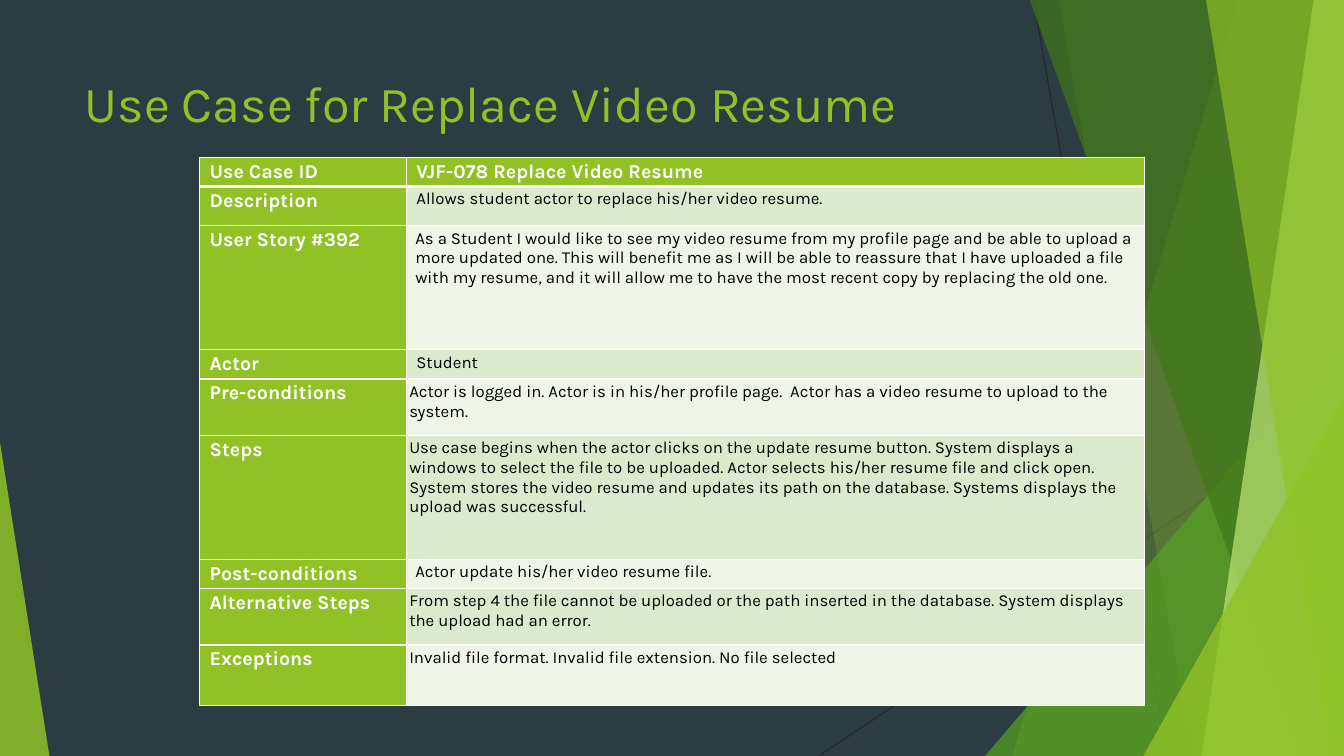
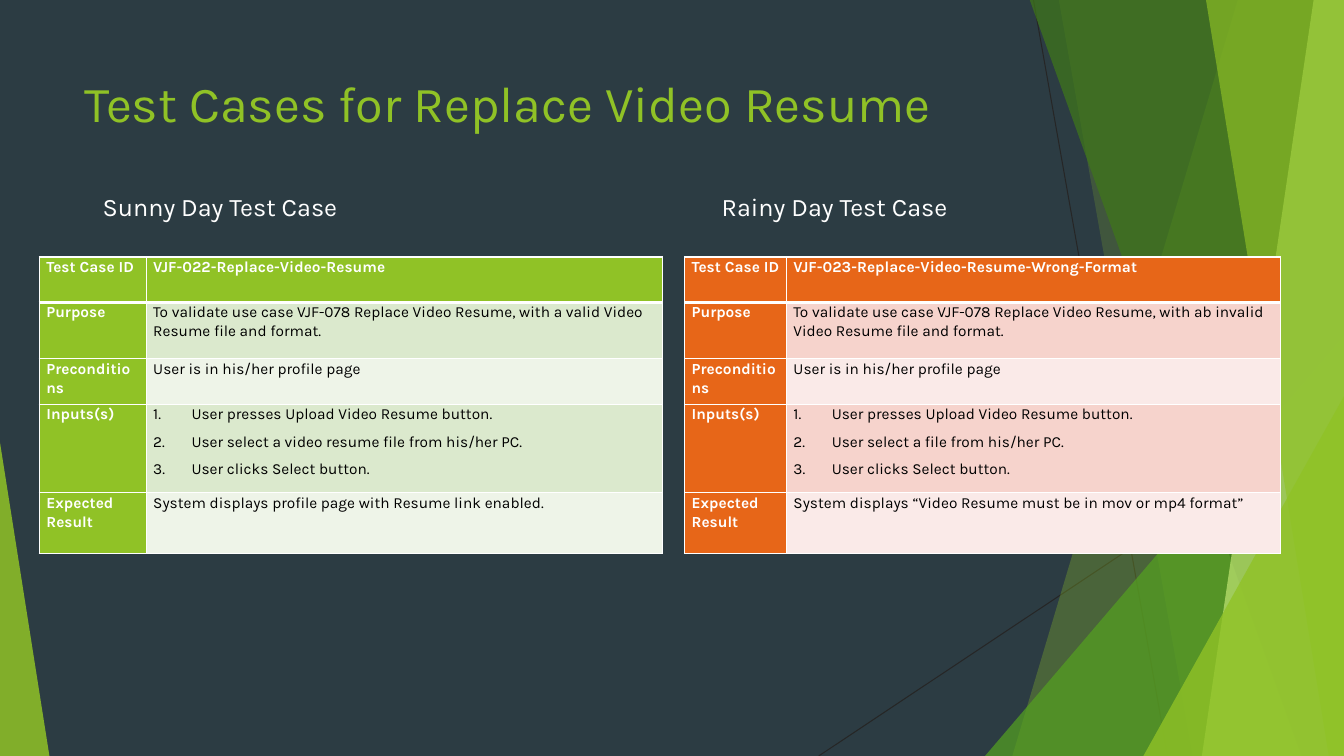
from pptx import Presentation
from pptx.dml.color import RGBColor
from pptx.enum.shapes import MSO_CONNECTOR, MSO_SHAPE
from pptx.enum.text import MSO_ANCHOR, MSO_AUTO_SIZE, PP_ALIGN
from pptx.oxml.ns import qn
from pptx.util import Inches, Pt
from lxml.etree import SubElement

FONT = "Karla"
SLATE = RGBColor(0x2C, 0x3C, 0x43)
LIME = RGBColor(0x90, 0xC2, 0x26)
GREEN = RGBColor(0x54, 0xA0, 0x21)
FOREST = RGBColor(0x3F, 0x78, 0x19)
PALE = RGBColor(0xC0, 0xE4, 0x74)
MIST = RGBColor(0xDB, 0xE9, 0xCD)
FROST = RGBColor(0xEE, 0xF4, 0xE8)
ORANGE = RGBColor(0xE7, 0x66, 0x18)
PEACH = RGBColor(0xF6, 0xD3, 0xCC)
BLUSH = RGBColor(0xFA, 0xEA, 0xE8)
DARK = RGBColor(0x26, 0x26, 0x26)
WHITE = RGBColor(0xFF, 0xFF, 0xFF)
BLACK = RGBColor(0, 0, 0)

SUNNY = (LIME, MIST, FROST)
RAINY = (ORANGE, PEACH, BLUSH)
WIDE, HIGH = 13.33, 7.5

USE_CASE = [
    ("Use Case ID", "VJF-078 Replace Video Resume", 0.07),
    ("Description", "Allows student actor to replace his/her video resume.", 0.07),
    ("User Story #392",
     "As a Student I would like to see my video resume from my profile page and be able "
     "to upload a more updated one. This will benefit me as I will be able to reassure "
     "that I have uploaded a file with my resume, and it will allow me to have the most "
     "recent copy by replacing the old one.", 0.06),
    ("Actor", "Student", 0.07),
    ("Pre-conditions",
     "Actor is logged in. Actor is in his/her profile page.  Actor has a video resume to "
     "upload to the system.", 0),
    ("Steps",
     "Use case begins when the actor clicks on the update resume button. System displays a "
     "windows to select the file to be uploaded. Actor selects his/her resume file and "
     "click open. System stores the video resume and updates its path on the database. "
     "Systems displays the upload was successful.", 0),
    ("Post-conditions", "Actor update his/her video resume file.", 0.06),
    ("Alternative Steps",
     "From step 4 the file cannot be uploaded or the path inserted in the database. System "
     "displays the upload had an error.", 0),
    ("Exceptions", "Invalid file format. Invalid file extension. No file selected", 0),
]


def test_rows(name, state, item, result):
    return [
        ("Test Case ID", name),
        ("Purpose", f"To validate use case VJF-078 Replace Video Resume, with {state} "
                    "Video Resume file and format."),
        ("Preconditions", "User is in his/her profile page"),
        ("Inputs(s)", "User presses Upload Video Resume button.\n"
                      f"User select {item} file from his/her PC.\n"
                      "User clicks Select button."),
        ("Expected Result", result),
    ]


def style(para, size, color, bold=False):
    for run in para.runs:
        font = run.font
        font.name, font.size, font.bold = FONT, Pt(size), bold
        font.color.rgb = color


def paint(shape, color, alpha):
    shape.shadow.inherit = False
    shape.line.fill.background()
    shape.fill.solid()
    shape.fill.fore_color.rgb = color
    tint = shape._element.spPr.find(qn("a:solidFill"))[0]
    SubElement(tint, qn("a:alpha")).set("val", str(alpha * 1000))


def add_line(slide, *ends):
    line = slide.shapes.add_connector(MSO_CONNECTOR.STRAIGHT, *map(Inches, ends))
    line.line.color.rgb = DARK
    line.line.width = Pt(0.75)
    SubElement(line._element.spPr, qn("a:effectLst"))


def add_band(slide, top, foot, color, alpha):
    pen = slide.shapes.build_freeform(Inches(top), Inches(-0.01))
    points = [(WIDE, -0.01), (WIDE, HIGH), (foot, HIGH)]
    pen.add_line_segments([(Inches(x), Inches(y)) for x, y in points])
    paint(pen.convert_to_shape(), color, alpha)


def add_wedge(slide, left, top, width, peak, color, alpha):
    box = map(Inches, (left, top, width, HIGH - top))
    wedge = slide.shapes.add_shape(MSO_SHAPE.ISOSCELES_TRIANGLE, *box)
    wedge.adjustments[0] = peak
    paint(wedge, color, alpha)


def add_decor(slide):
    add_line(slide, 10.25, 0, 11.58, HIGH)
    add_line(slide, WIDE, 4.03, 8.12, HIGH)
    add_band(slide, 12.28, 10.04, LIME, 30)
    add_band(slide, 10.5, 11.83, LIME, 20)
    add_wedge(slide, 9.77, 3.33, 3.56, 1, GREEN, 72)
    add_band(slide, 10.21, 12.91, FOREST, 70)
    add_band(slide, 13.03, 11.92, PALE, 70)
    add_band(slide, 11.96, 13.18, LIME, 65)
    add_wedge(slide, 11.34, 3.93, 1.99, 1, LIME, 80)
    add_wedge(slide, 0, 4.39, 0.49, 0, LIME, 85)


def add_slide(deck, text):
    slide = deck.slides.add_slide(deck.slide_layouts[5])
    add_decor(slide)
    title = slide.shapes.title
    title.left, title.top = Inches(0.74), Inches(0.67)
    title.width, title.height = Inches(9.4), Inches(1.44)
    frame = title.text_frame
    frame.text = text
    frame.vertical_anchor = MSO_ANCHOR.TOP
    frame.auto_size = MSO_AUTO_SIZE.NONE
    frame.paragraphs[0].alignment = PP_ALIGN.LEFT
    style(frame.paragraphs[0], 36, LIME)
    return slide


def add_label(slide, left, text):
    box = slide.shapes.add_textbox(Inches(left), Inches(1.85), Inches(5.63), Inches(0.4))
    box.text_frame.word_wrap = True
    box.text_frame.text = text
    style(box.text_frame.paragraphs[0], 18, WHITE)


def add_edges(cell, row):
    heavy = {"T": row == 1, "B": row == 0}
    for side in "LRTB":
        edge = SubElement(cell._tc.get_or_add_tcPr(), qn(f"a:ln{side}"))
        edge.set("w", str(Pt(3 if heavy.get(side) else 1)))
        fill = SubElement(edge, qn("a:solidFill"))
        SubElement(fill, qn("a:srgbClr")).set("val", str(WHITE))


def set_indent(para, left, first=0):
    props = para._p.get_or_add_pPr()
    props.set("marL", str(Inches(left)))
    props.set("indent", str(Inches(first)))
    return props


def fill_cell(cell, row, text, pad, fill):
    add_edges(cell, row)
    cell.fill.solid()
    cell.fill.fore_color.rgb = fill
    cell.margin_left = cell.margin_right = Inches(pad[0])
    cell.margin_top = cell.margin_bottom = Inches(pad[1])
    cell.text_frame.text = text
    return cell.text_frame.paragraphs


def add_grid(slide, left, top, cols, highs, rows, theme, pad):
    main, odd, even = theme
    size = map(Inches, (left, top, sum(cols), sum(highs)))
    grid = slide.shapes.add_table(len(rows), len(cols), *size).table
    for col, width in zip(grid.columns, cols):
        col.width = Inches(width)
    for row, (high, texts) in enumerate(zip(highs, rows)):
        grid.rows[row].height = Inches(high)
        for col, text in enumerate(texts[:2]):
            head = row == 0 or col == 0
            fill = main if head else (odd if row % 2 else even)
            paras = fill_cell(grid.cell(row, col), row, text, pad, fill)
            yield paras, head, texts


def add_case(slide):
    highs = [0.29, 0.39, 1.23, 0.29, 0.56, 1.23, 0.29, 0.56, 0.6]
    cells = add_grid(slide, 1.98, 1.56, [2.05, 7.32], highs, USE_CASE, SUNNY, (0.03, 0.03))
    for (para,), head, texts in cells:
        para.space_before, para.space_after = Pt(6), Pt(12)
        set_indent(para, 0.07 if head else texts[2])
        style(para, 14 if head else 12, WHITE if head else BLACK, head)


def add_test(slide, left, cols, rows, theme):
    highs = [0.45, 0.56, 0.45, 0.88, 0.6]
    for paras, head, texts in add_grid(slide, left, 2.55, cols, highs, rows, theme, (0.07, 0)):
        for para in paras:
            para.line_spacing, para.space_before = 1.07, Pt(6)
            style(para, 11, WHITE if head else BLACK, head)
            if len(paras) > 1:
                props = set_indent(para, 0.38, -0.38)
                SubElement(props, qn("a:buFont")).set("typeface", "+mj-lt")
                SubElement(props, qn("a:buAutoNum")).set("type", "arabicPeriod")


def main():
    deck = Presentation()
    deck.slide_width, deck.slide_height = Inches(WIDE), Inches(HIGH)
    back = deck.slide_master.background.fill
    back.solid()
    back.fore_color.rgb = SLATE

    add_case(add_slide(deck, "Use Case for Replace Video Resume"))

    slide = add_slide(deck, "Test Cases for Replace Video Resume")
    sunny = test_rows("VJF-022-Replace-Video-Resume", "a valid", "a video resume",
                      "System displays profile page with Resume link enabled.")
    rainy = test_rows("VJF-023-Replace-Video-Resume-Wrong-Format", "ab invalid", "a",
                      "System displays “Video Resume must be in mov or mp4 format”")
    add_test(slide, 0.39, [1.06, 5.12], sunny, SUNNY)
    add_test(slide, 6.79, [1.01, 4.9], rainy, RAINY)
    add_label(slide, 0.92, "Sunny Day Test Case")
    add_label(slide, 7.06, "Rainy Day Test Case")
    deck.save("out.pptx")


if __name__ == "__main__":
    main()
